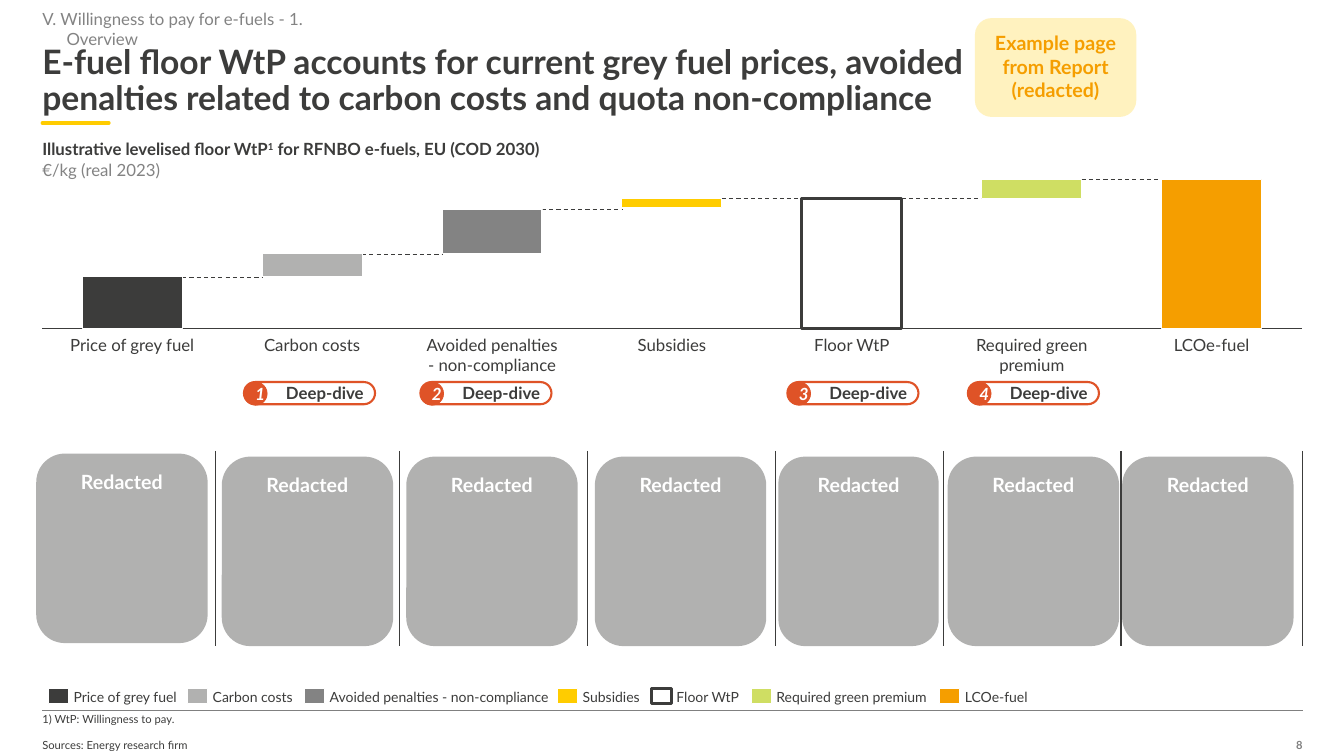
from lxml import etree
from pptx import Presentation
from pptx.chart.data import CategoryChartData
from pptx.dml.color import RGBColor
from pptx.enum.chart import XL_CHART_TYPE as ChartType, XL_TICK_LABEL_POSITION as LabelPosition, XL_TICK_MARK as TickMark
from pptx.enum.dml import MSO_LINE
from pptx.enum.shapes import MSO_CONNECTOR, MSO_SHAPE
from pptx.enum.text import MSO_ANCHOR as Anchor, MSO_AUTO_SIZE, PP_ALIGN as Align
from pptx.oxml import parse_xml
from pptx.oxml.ns import nsdecls, qn
from pptx.util import Inches, Pt

# Content
COLORS = {
    "dark": "3C3C3B", "light": "B1B1B0", "mid": "838383", "yellow": "FFCC00",
    "green": "CFDE63", "orange": "F59E00", "cream": "FFF2BF", "red": "DF5327",
    "rule": "808080", "white": "FFFFFF",
}
SECTION = "V. Willingness to pay for e-fuels - 1. Overview"
TITLE = ("E-fuel floor WtP accounts for current grey fuel prices, avoided penalties "
         "related to carbon costs and quota non-compliance")
SUBTITLE = [
    ("Illustrative levelised floor WtP", {"bold": True}, 0),
    ("1", {"bold": True}, 30000),
    (" for RFNBO e-fuels, EU (COD 2030)\v", {"bold": True}, 0),
    ("€/kg (real 2023)", {}, 0),
]
STICKER = "Example page from Report (redacted)"
FOOTNOTE = "1) WtP: Willingness to pay."
SOURCES = "Sources: Energy research firm"
# name, colour (None = outlined), base, step, axis label width, wraps, legend left, legend width
BARS = [
    ("Price of grey fuel", "dark", 35, None, 1.24, False, 0.48, 1.02),
    ("Carbon costs", "light", 35, 15, 0.97, False, 1.86, 0.79),
    ("Avoided penalties - non-compliance", "mid", 50, 30, 1.32, True, 3.02, 2.15),
    ("Subsidies", "yellow", 81, 6, 0.7, False, 5.53, 0.57),
    ("Floor WtP", None, 87, None, 0.77, False, 6.46, 0.63),
    ("Required green premium", "green", 87, 13, 1.12, True, 7.45, 1.51),
    ("LCOe-fuel", "orange", 100, None, 0.77, False, 9.32, 0.63),
]
BRIDGE_LEVELS = [35, 50, 80, 87, 87, 100]
DEEP_DIVE_LEFTS = [2.42, 4.17, 7.81, 9.6]
COLUMN_WIDTHS = [1.71, 1.82, 1.87, 1.86, 1.67, 1.76, 1.8]
# left, top, width
REDACTED = [(0.36, 4.5, 1.7), (2.2, 4.53, 1.7), (4.03, 4.53, 1.7), (5.9, 4.53, 1.7),
            (7.72, 4.53, 1.59), (9.4, 4.53, 1.7), (11.13, 4.53, 1.7)]

LEFT, RIGHT = 0.42, 12.92
SLOT = 12.49 / len(BARS)
GAP = 80
BAR_WIDTH = SLOT / (1 + GAP / 100)
BASE, FULL_HEIGHT = 3.27, 1.49


def rgb(name):
    return RGBColor.from_string(COLORS[name])


def style_font(font, size=12, color="dark", **values):
    font.color.rgb = rgb(color)
    for key, value in {"name": "Lato", "size": Pt(size), **values}.items():
        setattr(font, key, value)


def write(shape, text, align=Align.LEFT, anchor=Anchor.TOP, inset=0, wrap=True, spacing=None, **font):
    frame = shape.text_frame
    margin = Inches(inset)
    settings = {"word_wrap": wrap, "auto_size": MSO_AUTO_SIZE.NONE, "vertical_anchor": anchor,
                "margin_left": margin, "margin_right": margin,
                "margin_top": margin, "margin_bottom": margin}
    for key, value in settings.items():
        setattr(frame, key, value)
    paragraph = frame.paragraphs[0]
    paragraph.text = text
    paragraph.alignment = align
    if spacing:
        paragraph.line_spacing = spacing
    for run in paragraph.runs:
        style_font(run.font, **font)
    return paragraph


def add_text(box, text, **options):
    return write(slide.shapes.add_textbox(*map(Inches, box)), text, **options)


def paint(part, fill=None, line=None, width=0.75):
    """Fill and outline a shape or a chart point; None means no paint."""
    if fill:
        part.fill.solid()
        part.fill.fore_color.rgb = rgb(fill)
    else:
        part.fill.background()
    if line:
        part.line.color.rgb = rgb(line)
        part.line.width = Pt(width)
    else:
        part.line.fill.background()


def add_shape(kind, box, fill=None, line=None, width=0.75):
    shape = slide.shapes.add_shape(kind, *map(Inches, box))
    shape.shadow.inherit = False
    paint(shape, fill, line, width)
    return shape


def add_line(start, end, y, color, width):
    connector = slide.shapes.add_connector(
        MSO_CONNECTOR.STRAIGHT, Inches(start), Inches(y), Inches(end), Inches(y))
    connector.line.color.rgb = rgb(color)
    connector.line.width = Pt(width)
    etree.SubElement(connector._element.spPr, qn("a:effectLst"))
    return connector


def add_border(cell, side, color, width):
    cell._tc.get_or_add_tcPr().append(parse_xml(
        f'<a:ln{side} {nsdecls("a")} w="{Pt(width)}"><a:solidFill>'
        f'<a:srgbClr val="{COLORS[color]}"/></a:solidFill></a:ln{side}>'))


presentation = Presentation()
presentation.slide_width, presentation.slide_height = Inches(13.33), Inches(7.5)
slide = presentation.slides.add_slide(presentation.slide_layouts[5])

# Rules, title and headings
add_line(LEFT, RIGHT, 7.05, "rule", 0.25)
accent = add_line(LEFT, 1.08, 1.22, "yellow", 2.5)
accent.line._get_or_add_ln().set("cap", "rnd")
title = slide.shapes.title
title.left, title.top, title.width, title.height = map(Inches, (LEFT, 0.45, 9.32, 0.67))
write(title, TITLE, spacing=0.9, size=24, bold=True)
section = add_text((LEFT, 0.09, 3.2, 0.2), SECTION, color="mid")
section_format = section._p.get_or_add_pPr()
section_format.set("marL", str(Inches(0.24)))
section_format.set("indent", str(Inches(-0.24)))
subtitle = add_text((LEFT, 1.38, 7.33, 0.4), "")
for text, font, baseline in SUBTITLE:
    run = subtitle.add_run()
    run.text = text.rstrip("\v")
    style_font(run.font, color="dark" if font else "mid", **font)
    if baseline:
        run._r.get_or_add_rPr().set("baseline", str(baseline))
    if text.endswith("\v"):
        subtitle.add_line_break()

# Table of column dividers
frame = slide.shapes.add_table(1, len(COLUMN_WIDTHS), *map(Inches, (0.43, 4.48, 12.49, 1.91)))
table = frame.table
table.first_row = table.horz_banding = False
for index, width in enumerate(COLUMN_WIDTHS):
    table.columns[index].width = Inches(width)
    cell = table.cell(0, index)
    for side, color, weight in (("L", "dark" if index else "white", 1), ("R", "dark", 1),
                                ("T", "white", 1), ("B", "white", 3)):
        add_border(cell, side, color, weight)
    cell.fill.background()

# Waterfall bridges
for index, level in enumerate(BRIDGE_LEVELS):
    start = LEFT + SLOT * (index + 0.5) + BAR_WIDTH / 2
    bridge = add_line(start, start + SLOT - BAR_WIDTH, BASE - FULL_HEIGHT * level / 100, "dark", 0.75)
    bridge.line.dash_style = MSO_LINE.DASH

# Waterfall chart
data = CategoryChartData()
data.categories = [str(number + 1) for number in range(len(BARS))]
data.add_series("Series 1", [bar[2] for bar in BARS])
data.add_series("Series 2", [bar[3] for bar in BARS])
chart = slide.shapes.add_chart(
    ChartType.COLUMN_STACKED, *map(Inches, (0.33, 1.69, 12.67, 1.66)), data).chart
chart.has_legend = chart.has_title = False
style_font(chart.font, size=10)
category_axis, value_axis = chart.category_axis, chart.value_axis
category_axis.tick_label_position = LabelPosition.NONE
category_axis.major_tick_mark = category_axis.minor_tick_mark = TickMark.NONE
category_axis.format.line.color.rgb = rgb("dark")
category_axis.format.line.width = Pt(0.75)
value_axis.minimum_scale, value_axis.maximum_scale = 0, 100
value_axis.has_major_gridlines = value_axis.visible = False
plot = chart.plots[0]
plot.gap_width, plot.overlap, plot.vary_by_categories = GAP, 100, False
base_series, step_series = plot.series
paint(base_series.format)
paint(step_series.format, "green", "white")
for index, (_, color, _, step, *_) in enumerate(BARS):
    series = step_series if step else base_series
    outline = ("white", 0.75) if color else ("dark", 2.25)
    paint(series.points[index].format, color, *outline)
plot_area = chart._chartSpace.find(".//" + qn("c:plotArea"))
for layout in plot_area.findall(qn("c:layout")):
    plot_area.remove(layout)
places = "".join(f'<c:{key} val="{value}"/>' for key, value in (
    ("layoutTarget", "inner"), ("xMode", "edge"), ("yMode", "edge"),
    ("x", 0.007), ("y", 0.054), ("w", 0.986), ("h", 0.891)))
plot_area.insert(0, parse_xml(
    f'<c:layout {nsdecls("c")}><c:manualLayout>{places}</c:manualLayout></c:layout>'))

# Axis labels and legend
for index, (name, color, _, _, width, wraps, legend_left, legend_width) in enumerate(BARS):
    center = LEFT + SLOT * (index + 0.5)
    add_text((center - width / 2, 3.32, width, 0.4 if wraps else 0.2), name,
             align=Align.CENTER, wrap=wraps)
    outline = ("white", 0.75) if color else ("dark", 2.25)
    add_shape(MSO_SHAPE.RECTANGLE, (legend_left, 6.83, 0.2, 0.15), color, *outline)
    add_text((legend_left + 0.25, 6.83, legend_width, 0.17), name,
             anchor=Anchor.MIDDLE, wrap=False, size=10)

# Deep-dive tags
for number, left in enumerate(DEEP_DIVE_LEFTS, 1):
    pill = add_shape(MSO_SHAPE.ROUNDED_RECTANGLE, (left, 3.79, 1.3, 0.22), "white", "red", 1.5)
    pill.adjustments[0] = 0.5
    write(pill, "Deep-dive", Align.RIGHT, Anchor.MIDDLE, 0.08, bold=True)
    badge = add_shape(MSO_SHAPE.OVAL, (left, 3.79, 0.23, 0.23), "red", "red", 0.5)
    write(badge, str(number), Align.CENTER, Anchor.MIDDLE, 0.08, color="white", bold=True, italic=True)

# Sticker and redacted panels
sticker = add_shape(MSO_SHAPE.ROUNDED_RECTANGLE, (9.67, 0.18, 1.6, 0.98), "cream")
write(sticker, STICKER, Align.CENTER, inset=0.08, size=14, color="orange", bold=True)
for left, top, width in REDACTED:
    panel = add_shape(MSO_SHAPE.ROUNDED_RECTANGLE, (left, top, width, 1.88), "light")
    write(panel, "Redacted", Align.CENTER, inset=0.08, size=14, color="white", bold=True)

# Footer
add_text((LEFT, 7.08, 12.49, 0.12), FOOTNOTE, spacing=0.9, size=8)
add_text((LEFT, 7.34, 1.64, 0.12), SOURCES, anchor=Anchor.BOTTOM, wrap=False, spacing=0.9, size=8)
add_text((12.68, 7.34, 0.24, 0.12), "8", align=Align.RIGHT, anchor=Anchor.BOTTOM,
         spacing=0.9, size=8, color="rule", bold=True)

presentation.save("out.pptx")
